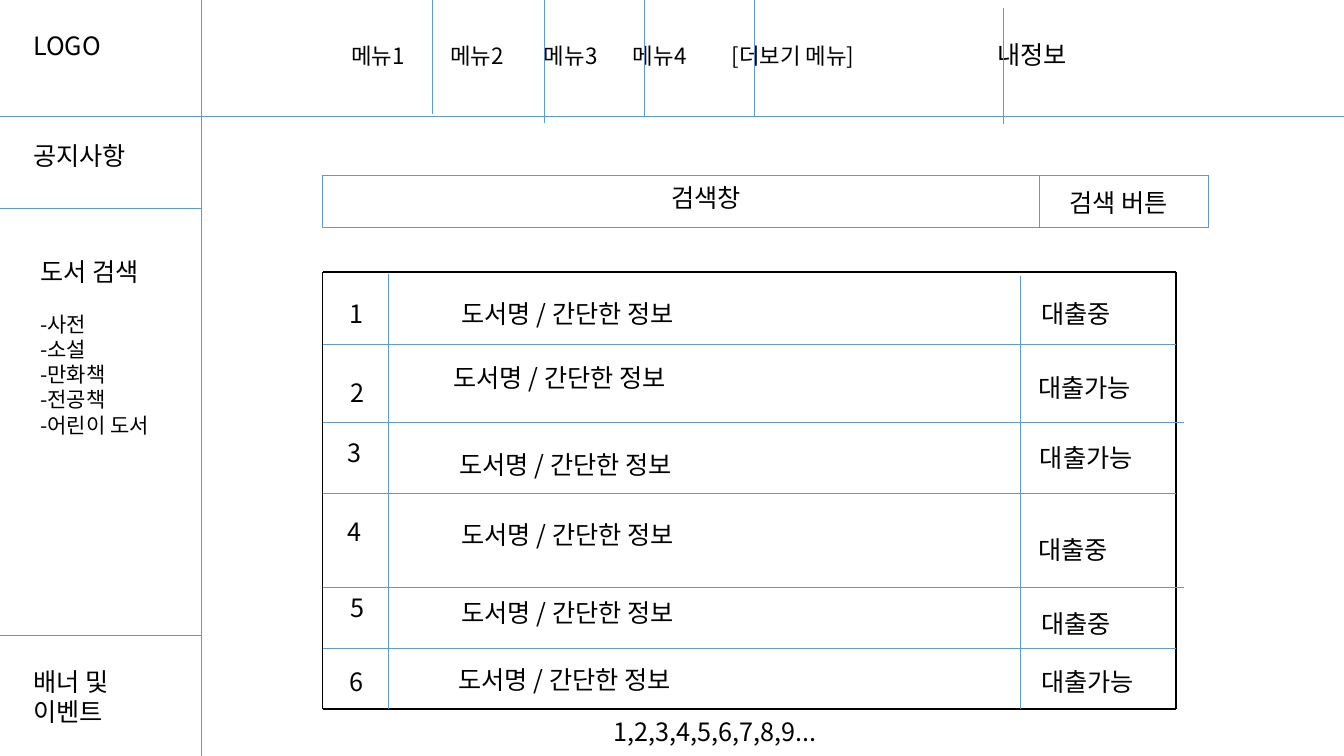
from lxml import etree
from pptx import Presentation
from pptx import util as u
from pptx.dml.color import RGBColor
from pptx.enum import shapes, text
from pptx.oxml import ns

BLUE = RGBColor(0x5B, 0x9B, 0xD5)
BLACK = RGBColor(0, 0, 0)


class Wireframe:
    font = "Noto Sans CJK KR"
    size = 18
    thin = 0.5

    def __init__(self, slide):
        self.slide = slide

    def line(self, x1, y1, x2, y2, color=BLUE, weight=thin):
        rule = self.slide.shapes.add_connector(
            shapes.MSO_CONNECTOR.STRAIGHT, u.Pt(x1), u.Pt(y1), u.Pt(x2), u.Pt(y2))
        rule.line.color.rgb = color
        rule.line.width = u.Pt(weight)
        etree.SubElement(rule._element.spPr, ns.qn("a:effectLst"))

    def run(self, paragraph, words, size=size):
        run = paragraph.add_run()
        run.text = words
        run.font.size = u.Pt(size)
        run.font.name = self.font
        run.font.color.rgb = BLACK
        east_asian = etree.SubElement(run.font._element, ns.qn("a:ea"))
        east_asian.set("typeface", self.font)

    def label(self, x, y, width, *lines, size=size):
        box = self.slide.shapes.add_textbox(
            u.Pt(x), u.Pt(y), u.Pt(width), u.Pt(7.4 + 21.4 * len(lines)))
        frame = box.text_frame
        frame.word_wrap = True
        frame.auto_size = text.MSO_AUTO_SIZE.SHAPE_TO_FIT_TEXT
        for index, words in enumerate(lines):
            paragraph = frame.add_paragraph() if index else frame.paragraphs[0]
            self.run(paragraph, words, size)
        return frame

    def tabs(self, paragraph, stops):
        tab_list = etree.SubElement(
            paragraph._p.get_or_add_pPr(), ns.qn("a:tabLst"))
        for stop in stops:
            tab = etree.SubElement(tab_list, ns.qn("a:tab"))
            tab.set("pos", str(u.Pt(stop)))
            tab.set("algn", "l")


def draw_header(page):
    page.line(0, 82.8, 960, 82.8)
    page.label(16.6, 18, 118, "LOGO")
    menu = page.label(
        244, 24.5, 670,
        "메뉴1\t메뉴2\t메뉴3\t메뉴4\t[더보기 메뉴]\t", size=16).paragraphs[0]
    page.run(menu, "내정보")
    page.tabs(menu, [70.6, 137.5, 201, 271.5, 461.5])
    for x, top, bottom in [(308.9, -1.4, 81.4), (388.8, -1.4, 87.8),
                           (460.1, 0, 82.8), (538.6, 0, 82.8),
                           (716.4, 5.8, 88.6)]:
        page.line(x, top, x, bottom)


def draw_sidebar(page):
    page.line(144, 0, 144, 540)
    for y in (149, 453.6):
        page.line(0, y, 144, y)
    page.label(16.6, 96.5, 112, "공지사항")
    page.label(16.6, 472.3, 127, "배너 및", "이벤트")
    categories = page.label(21.6, 179.3, 118, "도서 검색")
    for name in ["사전", "소설", "만화책", "전공책", "어린이 도서"]:
        page.run(categories.add_paragraph(), "-" + name, 15)
    categories.paragraphs[1].space_before = u.Pt(18)


def draw_search(page):
    left, top, right, bottom = 230.4, 125.3, 863.3, 162.7
    for y in (top, bottom):
        page.line(left, y, right, y)
    for x in (left, 742.3, right):
        page.line(x, top, x, bottom)
    page.label(472.3, 126.7, 92, "검색창")
    page.label(756.7, 130.3, 121, "검색 버튼")


def draw_books(page):
    left, top, right, bottom = 230.4, 194.4, 840.2, 506.2
    page.line(left, top, left, bottom, BLACK)
    page.line(right, top, right, bottom, BLACK, 1.5)
    for y in (top, bottom):
        page.line(left, y, right, y, BLACK, 1.5)
    for y, end in [(246.2, right), (301.7, 846), (352.1, right),
                   (419.8, 846), (463, right)]:
        page.line(left, y, end, y)
    for x, start in [(277.2, 195.8), (728.6, 197.3)]:
        page.line(x, start, x, bottom)

    on_loan, available = "대출중", "대출가능"
    books = [
        ((242.6, 209.5), (322.6, 209.5), (736.6, 209.5), on_loan),
        ((243.4, 265.7), (316.8, 255.6), (734.4, 262.1), available),
        ((241.2, 308.9), (321.1, 317.5), (735.8, 312.5), available),
        ((241.2, 365), (322.6, 367.2), (734.4, 378), on_loan),
        ((243.4, 419.8), (322.6, 423.4), (736.6, 431.3), on_loan),
        ((242.6, 472.3), (320.4, 470.9), (736.6, 472.3), available),
    ]
    for number, (number_at, title_at, status_at, status) in enumerate(books, 1):
        page.label(*number_at, 30, str(number))
        page.label(*title_at, 270, "도서명 / 간단한 정보")
        page.label(*status_at, 97, status)
    page.label(431.3, 508.3, 197, "1,2,3,4,5,6,7,8,9...")


def main():
    deck = Presentation()
    deck.slide_width, deck.slide_height = u.Pt(960), u.Pt(540)
    page = Wireframe(deck.slides.add_slide(deck.slide_layouts[6]))
    draw_header(page)
    draw_sidebar(page)
    draw_search(page)
    draw_books(page)
    deck.save("out.pptx")


if __name__ == "__main__":
    main()
